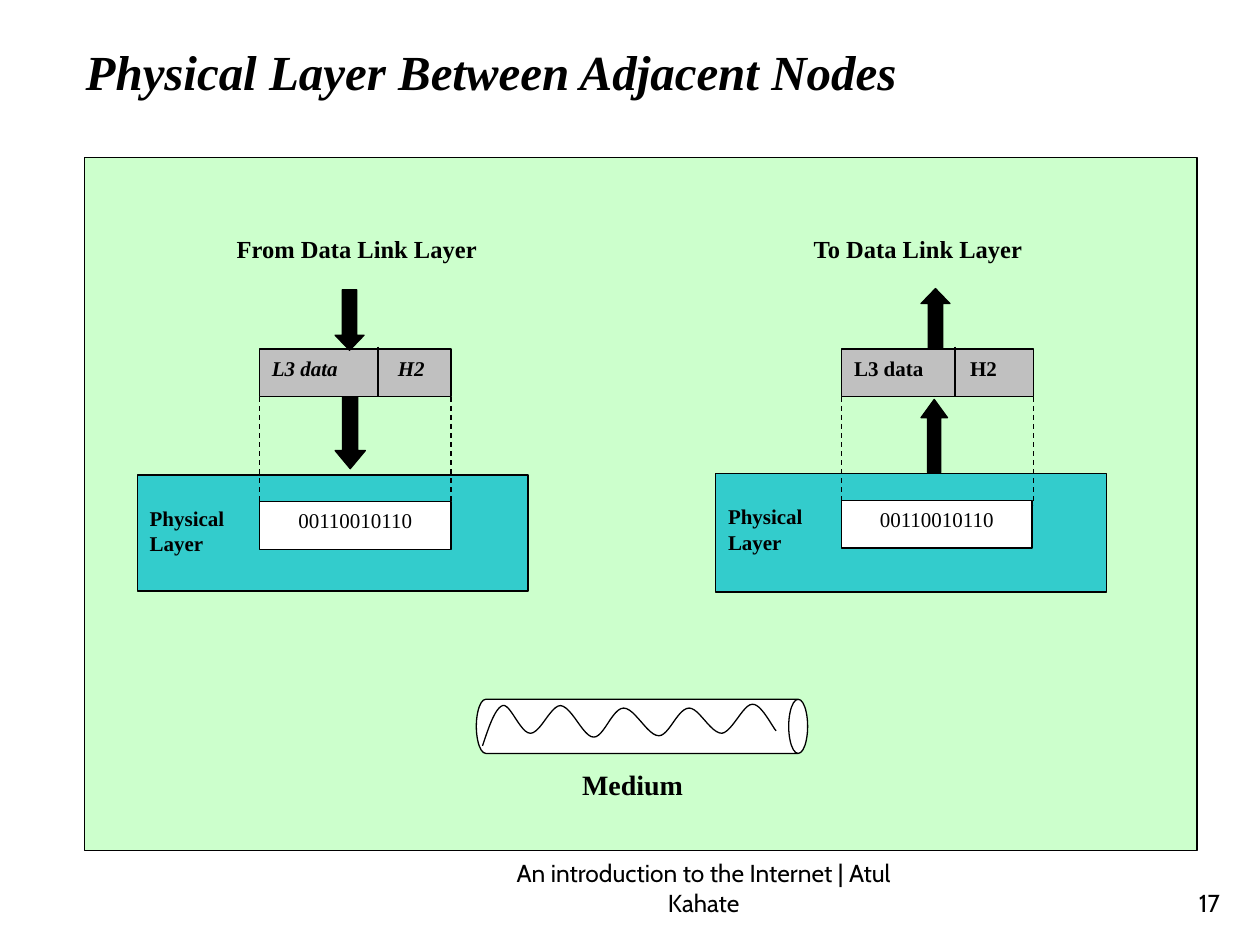
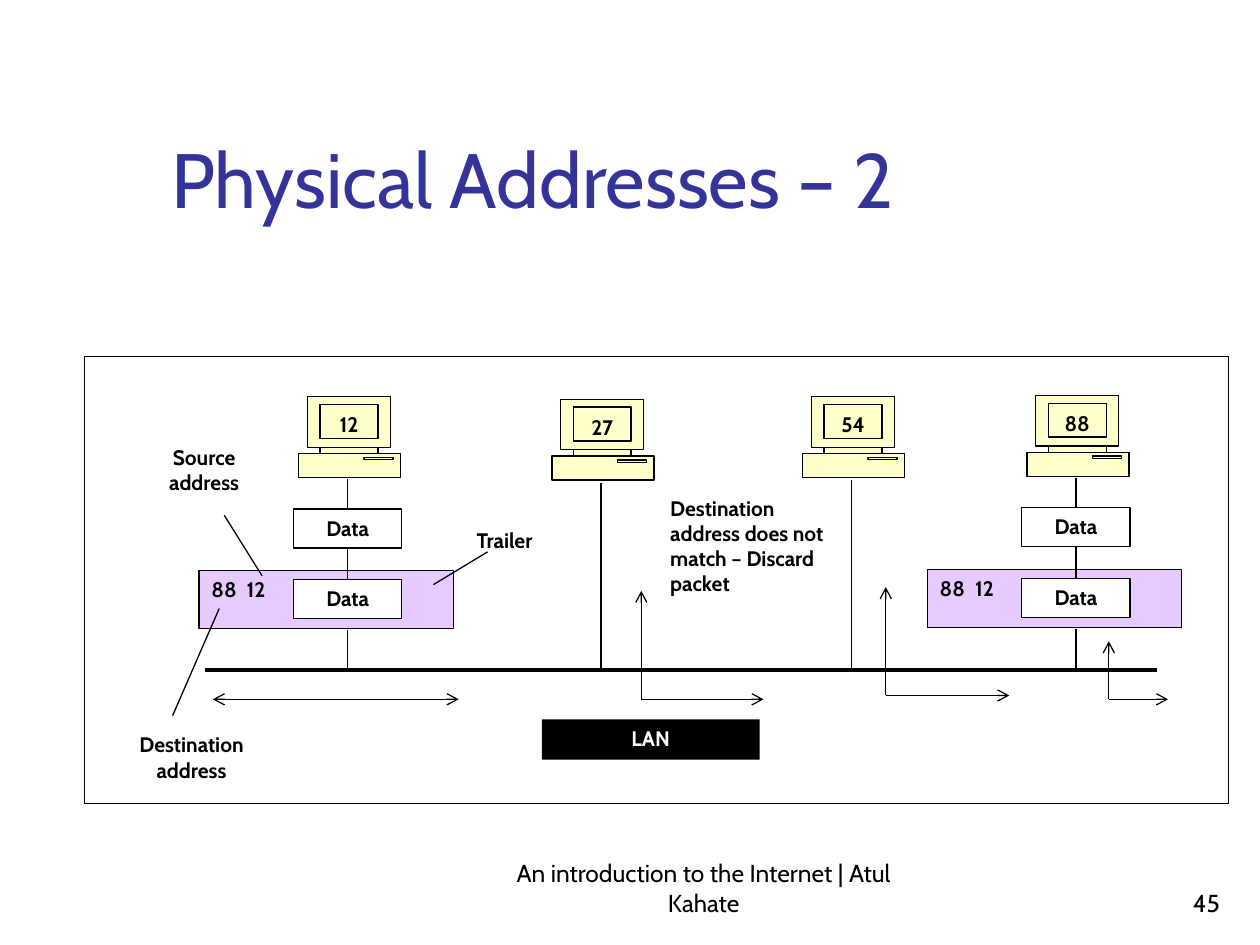
"""Builds two slides on the physical layer and on physical addresses."""
from lxml.etree import SubElement as add_element
from pptx import Presentation
from pptx.dml.color import RGBColor
from pptx.enum.dml import MSO_LINE_DASH_STYLE as Dash
from pptx.enum.shapes import MSO_CONNECTOR as Connector, MSO_SHAPE as Shape
from pptx.enum.text import MSO_ANCHOR as Anchor, MSO_AUTO_SIZE as AutoSize, PP_ALIGN as Align
from pptx.oxml.ns import qn
from pptx.util import Inches, Pt

COLOURS = {
    "black": "000000", "white": "FFFFFF", "mint": "CCFFCC", "teal": "33CCCC",
    "grey": "C0C0C0", "cream": "FFFFCC", "lilac": "CC99FF", "indigo": "333399",
}
SERIF, SANS = "Times New Roman", "Cabin"


def dress(box, text="", fill=None, line=None, alpha=None, font=SANS, size=12, bold=True,
          italic=False, colour="black", align=Align.LEFT, anchor=Anchor.TOP,
          margins=(0.1, 0.05, 0.1, 0.05), tab=None):
    box.shadow.inherit = False
    if fill:
        box.fill.solid()
        box.fill.fore_color.rgb = RGBColor.from_string(COLOURS[fill])
    else:
        box.fill.background()
    if alpha:
        solid = box.element.spPr.find(qn("a:solidFill"))
        add_element(solid[0], qn("a:alpha"), val=str(alpha * 1000))
    if line:
        box.line.color.rgb = RGBColor.from_string(COLOURS[line])
        box.line.width = Pt(0.75)
    else:
        box.line.fill.background()
    if not text:
        return box
    frame = box.text_frame
    frame.word_wrap = True
    frame.auto_size = AutoSize.NONE
    frame.vertical_anchor = anchor
    (frame.margin_left, frame.margin_top,
     frame.margin_right, frame.margin_bottom) = map(Inches, margins)
    for index, words in enumerate(text.split("\n")):
        para = frame.add_paragraph() if index else frame.paragraphs[0]
        para.alignment = align
        if tab:
            stops = add_element(para._p.get_or_add_pPr(), qn("a:tabLst"))
            add_element(stops, qn("a:tab"), pos=str(Inches(tab)), algn="l")
        span = para.add_run()
        span.text = words
        span.font.name, span.font.size = font, Pt(size)
        span.font.bold, span.font.italic = bold, italic
        span.font.color.rgb = RGBColor.from_string(COLOURS[colour])
    return box


def draw_line(page, start, end, width=0.75, dash=None, head=False, tail=False):
    line = page.shapes.add_connector(Connector.STRAIGHT, *map(Inches, (*start, *end)))
    line.line.color.rgb = RGBColor.from_string(COLOURS["black"])
    line.line.width = Pt(width)
    if dash:
        line.line.dash_style = dash
    outline = line.element.spPr.find(qn("a:ln"))
    for tip, wanted in (("a:headEnd", head), ("a:tailEnd", tail)):
        if wanted:
            add_element(outline, qn(tip), type="arrow")
    add_element(line.element.spPr, qn("a:effectLst"))
    return line


deck = Presentation()
deck.slide_width, deck.slide_height = Inches(10), Inches(7.5)

pages = []
for number, title, area, title_format in (
    ("17", "Physical Layer Between Adjacent Nodes", (0.58, 0.28, 7.17, 0.57),
     dict(font=SERIF, size=28, italic=True)),
    ("45", "Physical Addresses – 2", (1.26, 0.23, 8.52, 1.6),
     dict(size=44, bold=False, colour="indigo", anchor=Anchor.BOTTOM)),
):
    page = deck.slides.add_slide(deck.slide_layouts[5])
    heading = page.shapes.title
    heading.left, heading.top, heading.width, heading.height = map(Inches, area)
    dress(heading, title, **title_format)
    for left, width, text, align in (
        (4, 3.17, "An introduction to the Internet | Atul Kahate", Align.CENTER),
        (7.7, 2.08, number, Align.RIGHT),
    ):
        footer = page.shapes.add_textbox(*map(Inches, (left, 6.83, width, 0.5)))
        dress(footer, text, size=14, bold=False, align=align, anchor=Anchor.BOTTOM)
    pages.append(page)
layer_page, address_page = pages

# The two helpers above serve both slides.
shapes = layer_page.shapes
panel = shapes.add_shape(Shape.RECTANGLE, *map(Inches, (0.67, 1.25, 8.83, 5.5)))
dress(panel, fill="mint", line="black")

for node in (
    dict(layer=(1.09, 3.77, 3.1, 0.92), bits=(2.06, 3.98, 1.52, 0.38),
         label=(1.78, 1.81, 2.44, 0.44), label_text="From Data Link Layer",
         frame=2.06, italic=True, tab=1.0, divider=3, arrow=Shape.DOWN_ARROW,
         arrows=((2.66, 2.3, 0.23, 0.48, 0.52), (2.66, 3.15, 0.24, 0.57, 0.6))),
    dict(layer=(5.68, 3.76, 3.1, 0.94), bits=(6.68, 3.97, 1.51, 0.38),
         label=(6.36, 1.81, 2.34, 0.44), label_text="To Data Link Layer",
         frame=6.68, italic=False, tab=0.92, divider=7.58, arrow=Shape.UP_ARROW,
         arrows=((7.31, 2.29, 0.23, 0.48, 0.52), (7.31, 3.17, 0.21, 0.58, 0.69))),
):
    for area, text, text_format in (
        (node["layer"], "Physical\nLayer",
         dict(fill="teal", line="black", margins=(0.1, 0.24, 0.1, 0.05))),
        (node["bits"], "00110010110",
         dict(fill="white", line="black", bold=False, align=Align.CENTER)),
        (node["label"], node["label_text"], dict(fill="mint", size=14)),
        ((node["frame"], 2.77, 1.52, 0.38), "L3 data\tH2",
         dict(fill="grey", line="black", italic=node["italic"], tab=node["tab"])),
    ):
        box = shapes.add_shape(Shape.RECTANGLE, *map(Inches, area))
        dress(box, text, font=SERIF, **text_format)
    for *area, head_length in node["arrows"]:
        arrow = shapes.add_shape(node["arrow"], *map(Inches, area))
        arrow.adjustments[0], arrow.adjustments[1] = 0.5, head_length
        dress(arrow, fill="black", line="black")
    for x in (node["frame"], node["frame"] + 1.52):
        draw_line(layer_page, (x, 3.15), (x, 4.01), dash=Dash.DASH)
    draw_line(layer_page, (node["divider"], 2.75), (node["divider"], 3.14))

medium = shapes.add_shape(Shape.CAN, *map(Inches, (4.88, 4.45, 0.43, 2.63)))
medium.rotation = 90
medium.adjustments[0] = 0.35
dress(medium, fill="white", line="black")

wave_start = (3.83, 5.92)
wave_curves = (
    ((3.88, 5.77), (3.93, 5.62), (3.99, 5.6)),
    ((4.05, 5.58), (4.13, 5.82), (4.21, 5.82)),
    ((4.29, 5.82), (4.37, 5.6), (4.45, 5.6)),
    ((4.54, 5.61), (4.63, 5.85), (4.71, 5.85)),
    ((4.79, 5.86), (4.86, 5.62), (4.95, 5.62)),
    ((5.04, 5.62), (5.14, 5.84), (5.23, 5.84)),
    ((5.31, 5.84), (5.38, 5.62), (5.47, 5.62)),
    ((5.55, 5.62), (5.64, 5.82), (5.73, 5.82)),
    ((5.81, 5.81), (5.9, 5.59), (5.97, 5.59)),
    ((6.04, 5.58), (6.13, 5.77), (6.16, 5.8)),
)
wave_points, start = [], wave_start
for first, second, end in wave_curves:
    for step in range(1, 13):
        t = step / 12
        u = 1 - t
        wave_points.append([Inches(u**3 * a + 3 * u * u * t * b + 3 * u * t * t * c + t**3 * d)
                            for a, b, c, d in zip(start, first, second, end)])
    start = end
wave = shapes.build_freeform(*map(Inches, wave_start))
wave.add_line_segments(wave_points, close=False)
dress(wave.convert_to_shape(), line="black")

medium_label = shapes.add_shape(Shape.RECTANGLE, *map(Inches, (4.1, 6.04, 1.84, 0.4)))
dress(medium_label, "Medium", fill="mint", font=SERIF, size=16, align=Align.CENTER)

shapes = address_page.shapes
panel = shapes.add_shape(Shape.RECTANGLE, *map(Inches, (0.67, 2.83, 9.08, 3.55)))
dress(panel, fill="white", line="black")

for left, top, width, height, text, text_format in (
    (0.98, 3.48, 1.28, 0.49, "Source address", dict(fill="white", align=Align.CENTER)),
    (0.88, 5.76, 1.28, 0.49, "Destination address", dict(fill="white", align=Align.CENTER)),
    (3.55, 4.14, 0.91, 0.34, "Trailer", dict(fill="white", align=Align.CENTER)),
    (5.22, 3.88, 1.48, 1.07, "Destination address does not match – Discard packet",
     dict(fill="white")),
    (4.3, 5.71, 1.73, 0.32, "LAN", dict(fill="black", colour="white", align=Align.CENTER)),
):
    label = shapes.add_shape(Shape.RECTANGLE, *map(Inches, (left, top, width, height)))
    dress(label, text, **text_format)

bus_y = 5.32
computer_outline = ((0.63, 0.45), (0.63, 0.4), (0.73, 0.4), (0.73, 0), (0.07, 0), (0.07, 0.4),
                    (0.17, 0.4), (0.17, 0.45), (0, 0.45), (0, 0.64), (0.81, 0.64), (0.81, 0.45))
for address, left, top, has_packet in (
    ("12", 2.37, 3.15, True), ("27", 4.38, 3.17, False),
    ("54", 6.37, 3.15, False), ("88", 8.15, 3.14, True),
):
    corners = [(Inches(left + x), Inches(top + y)) for x, y in computer_outline]
    computer = shapes.build_freeform(*corners[0])
    computer.add_line_segments(corners[1:], close=True)
    dress(computer.convert_to_shape(), fill="cream", line="black")
    for x, y, width, height, text in (
        (0.17, 0.4, 0.46, 0.05, ""),
        (0.17, 0.06, 0.46, 0.27, address),
        (0.52, 0.48, 0.23, 0.02, ""),
    ):
        part = shapes.add_shape(Shape.RECTANGLE, *map(Inches, (left + x, top + y, width, height)))
        dress(part, text, fill="cream", line="black", align=Align.CENTER,
              anchor=Anchor.MIDDLE, margins=(0, 0.05, 0, 0))
    cable_x = left + 0.39
    if not has_packet:
        draw_line(address_page, (cable_x, top + 0.66), (cable_x, bus_y))
        continue
    packet = shapes.add_shape(Shape.RECTANGLE,
                              *map(Inches, (left - 0.79, top + 1.38, 2.02, 0.46)))
    dress(packet, "88\t12", fill="lilac", alpha=50, line="black", tab=0.28)
    data_boxes = []
    for y in (top + 0.89, top + 1.45):
        data = shapes.add_shape(Shape.RECTANGLE, *map(Inches, (cable_x - 0.43, y, 0.86, 0.31)))
        data_boxes.append(dress(data, "Data", fill="white", line="black", align=Align.CENTER))
    upper, lower = data_boxes
    cable = draw_line(address_page, (cable_x, top + 0.65), (cable_x, top + 0.89))
    cable.end_connect(upper, 0)
    cable = draw_line(address_page, (cable_x, top + 1.2), (cable_x, top + 1.45))
    cable.begin_connect(upper, 2)
    cable.end_connect(lower, 0)
    draw_line(address_page, (cable_x, top + 1.85), (cable_x, bus_y))

draw_line(address_page, (1.63, bus_y), (9.18, bus_y), width=2.25)
draw_line(address_page, (1.69, 5.55), (3.64, 5.55), head=True, tail=True)
for x, y, right, top in ((5.09, 5.55, 6.06, 4.69), (7.03, 5.52, 8.01, 4.66),
                         (8.8, 5.55, 9.27, 5.09)):
    draw_line(address_page, (x, y), (right, y), tail=True)
    draw_line(address_page, (x, y), (x, top), tail=True)
for start, end in (((2.08, 4.57), (1.78, 4.09)), ((1.37, 5.68), (1.74, 4.83)),
                   ((3.87, 4.38), (3.44, 4.64))):
    draw_line(address_page, start, end)

deck.save("out.pptx")
